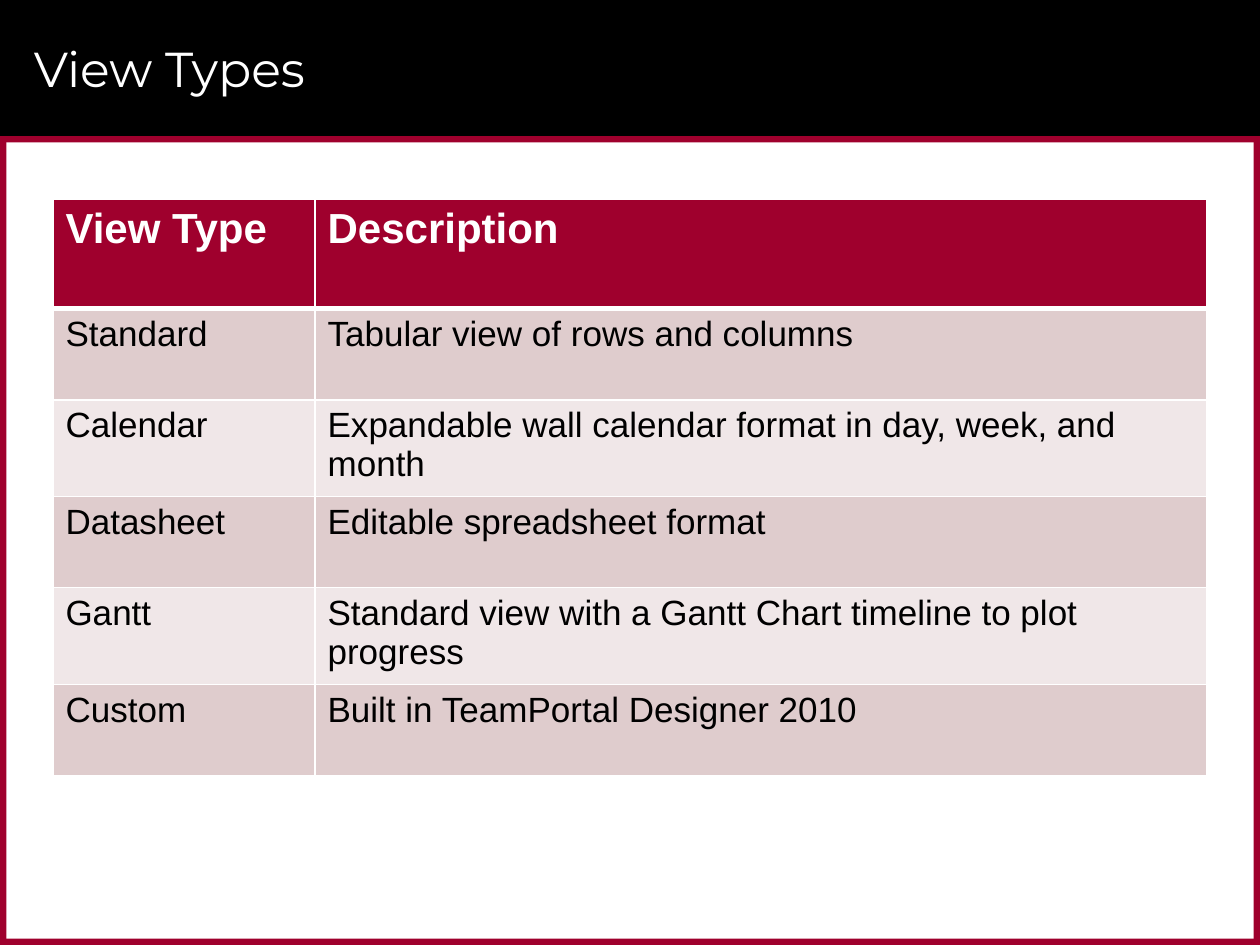
import pptx
import pptx.dml.color
import pptx.enum.shapes
import pptx.enum.text
import pptx.oxml
import pptx.oxml.ns
import pptx.util

Inches = pptx.util.Inches
Pt = pptx.util.Pt
RGBColor = pptx.dml.color.RGBColor

BLACK = RGBColor(0x00, 0x00, 0x00)
WHITE = RGBColor(0xFF, 0xFF, 0xFF)
CRIMSON = RGBColor(0x9F, 0x00, 0x2D)
DARK_BAND = RGBColor(0xDF, 0xCC, 0xCD)
LIGHT_BAND = RGBColor(0xF0, 0xE7, 0xE8)

SLIDE_W, SLIDE_H = 10, 7.5
HEADER_H = 1.08

VIEW_TYPES = [
    ("View Type", "Description"),
    ("Standard", "Tabular view of rows and columns"),
    ("Calendar", "Expandable wall calendar format in day, week, and month"),
    ("Datasheet", "Editable spreadsheet format"),
    ("Gantt", "Standard view with a Gantt Chart timeline to plot progress"),
    ("Custom", "Built in TeamPortal Designer 2010"),
]


def add_bar(slide, left, top, width, height, color):
    bar = slide.shapes.add_shape(
        pptx.enum.shapes.MSO_SHAPE.RECTANGLE,
        Inches(left), Inches(top), Inches(width), Inches(height))
    bar.shadow.inherit = False
    bar.fill.solid()
    bar.fill.fore_color.rgb = color
    bar.line.fill.background()


def add_run(paragraph, text, font_name, size, color, bold=False):
    run = paragraph.add_run()
    run.text = text
    run.font.name = font_name
    run.font.size = Pt(size)
    run.font.color.rgb = color
    run.font.bold = bold


def add_header(slide, left, top, width, height):
    add_bar(slide, left, top, width, height, BLACK)
    title = slide.shapes.add_textbox(
        Inches(left + 0.17), Inches(top + 0.08),
        Inches(width - 0.58), Inches(height - 0.16)).text_frame
    title.word_wrap = True
    title.vertical_anchor = pptx.enum.text.MSO_ANCHOR.MIDDLE
    add_run(title.paragraphs[0], "View Types", "Montserrat", 28, WHITE)


def add_frame(slide, left, top, width, height, thickness=0.05):
    for y in (top, top + height - thickness):
        add_bar(slide, left, y, width, thickness, CRIMSON)
    for x in (left, left + width - thickness):
        add_bar(slide, x, top, thickness, height, CRIMSON)


def set_borders(cell, widths):
    # Border lines must come before the fill in the cell properties
    properties = cell._tc.get_or_add_tcPr()
    for index, (side, width) in enumerate(widths.items()):
        properties.insert(index, pptx.oxml.parse_xml(
            f'<a:ln{side} {pptx.oxml.ns.nsdecls("a")} w="{Pt(width)}">'
            f'<a:solidFill><a:srgbClr val="{WHITE}"/></a:solidFill>'
            f'</a:ln{side}>'))


def add_view_table(slide, left, top, width, height):
    table = slide.shapes.add_table(
        len(VIEW_TYPES), 2, Inches(left), Inches(top),
        Inches(width), Inches(height)).table
    type_width, heading_height = 2.08, 0.87
    table.columns[0].width = Inches(type_width)
    table.columns[1].width = Inches(width - type_width)
    row_height = (height - heading_height) / (len(VIEW_TYPES) - 1)

    for r, texts in enumerate(VIEW_TYPES):
        heading = r == 0
        table.rows[r].height = Inches(heading_height if heading else row_height)
        band = CRIMSON if heading else DARK_BAND if r % 2 else LIGHT_BAND
        for c, text in enumerate(texts):
            cell = table.cell(r, c)
            cell.fill.solid()
            cell.fill.fore_color.rgb = band
            add_run(cell.text_frame.paragraphs[0], text, "Arial",
                    24 if heading else 20, WHITE if heading else BLACK, heading)
            set_borders(cell, {"L": 1, "R": 1, "T": 3 if r == 1 else 1,
                               "B": 3 if heading else 1})


def main():
    deck = pptx.Presentation()
    deck.slide_width, deck.slide_height = Inches(SLIDE_W), Inches(SLIDE_H)
    slide = deck.slides.add_slide(deck.slide_layouts[6])
    add_header(slide, 0, 0, SLIDE_W, HEADER_H)
    add_frame(slide, 0, HEADER_H, SLIDE_W, SLIDE_H - HEADER_H)
    add_view_table(slide, 0.42, 1.58, 9.16, 4.49)
    deck.save("out.pptx")


if __name__ == "__main__":
    main()
